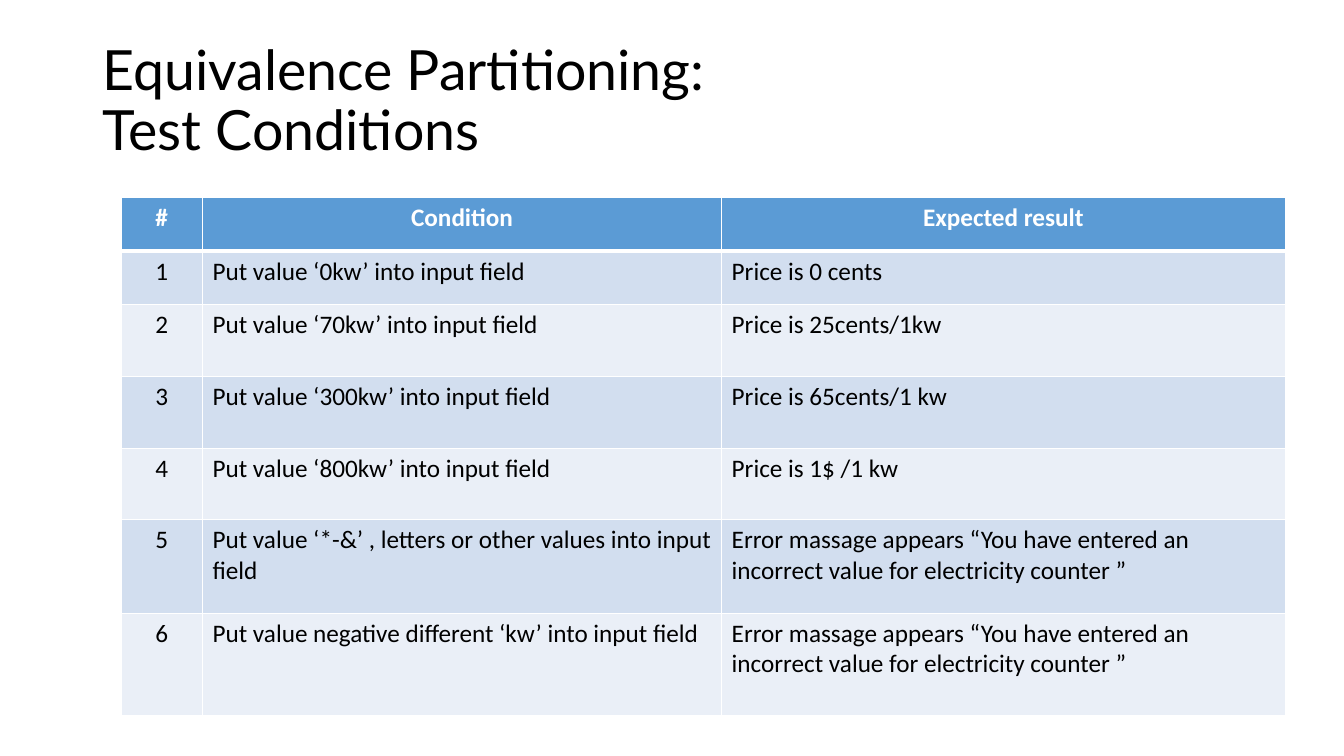
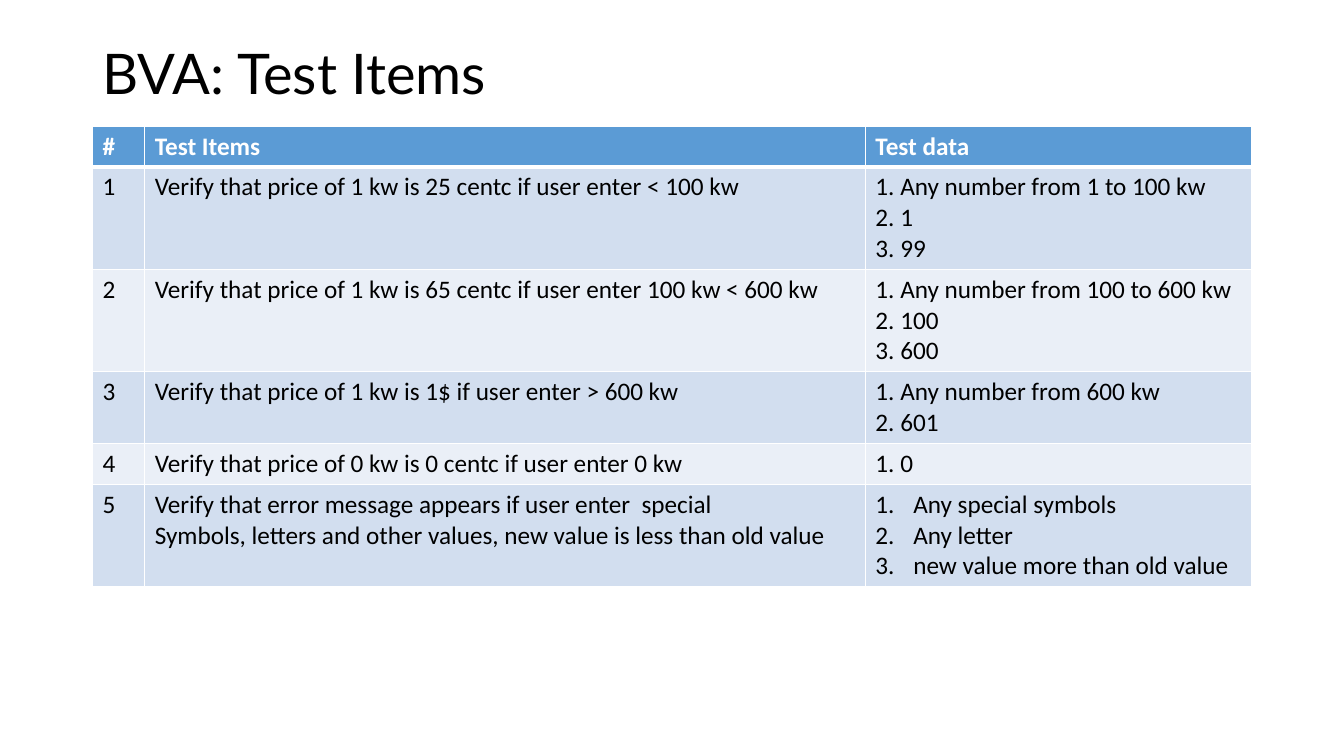
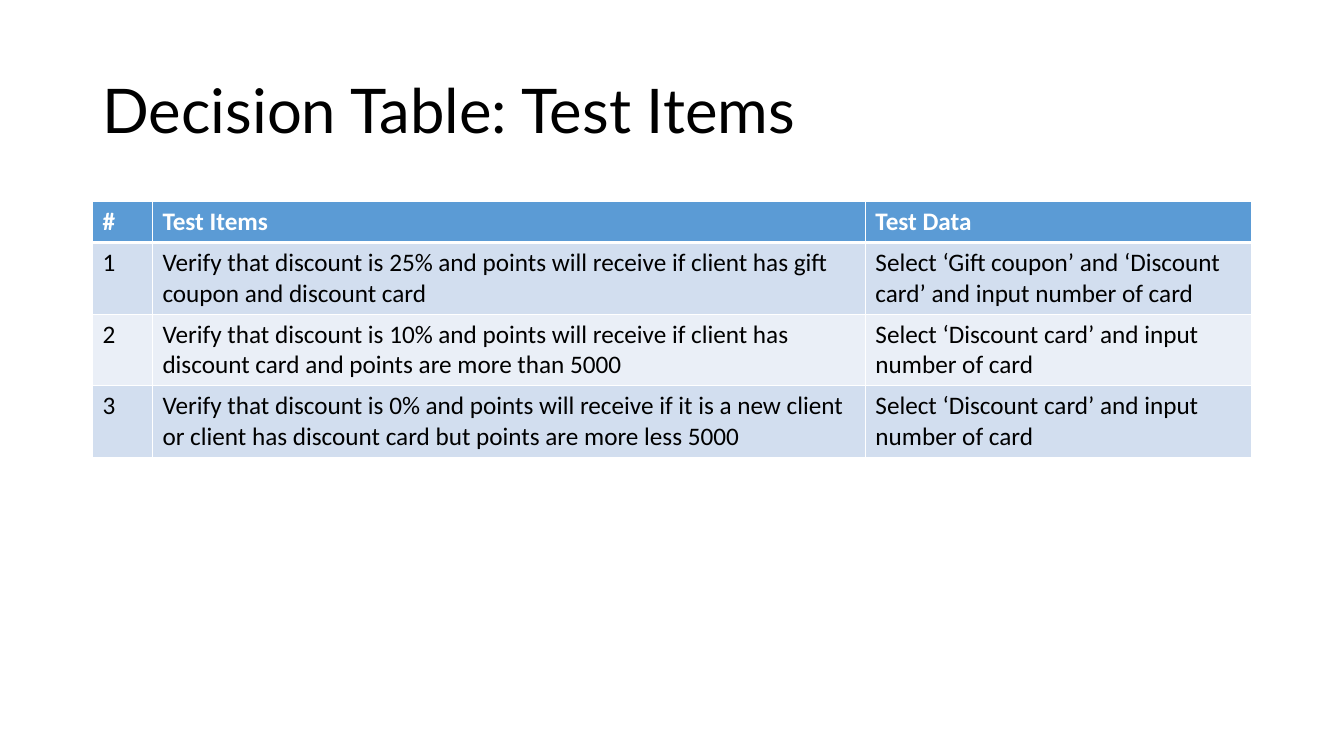
from copy import deepcopy
from dataclasses import dataclass

from lxml.etree import SubElement
from pptx import Presentation
from pptx.dml.color import RGBColor
from pptx.enum.text import MSO_ANCHOR, MSO_AUTO_SIZE, PP_ALIGN
from pptx.oxml.ns import qn
from pptx.util import Pt

COLOURS = {
    "text": "000000",
    "header_text": "FFFFFF",
    "header": "5B9BD5",
    "band_odd": "D2DEEF",
    "band_even": "EAEFF7",
    "border": "FFFFFF",
}
TITLE_FONT, TABLE_FONT = "Lato", "Calibri"
TABLE_SIZE = 18
LIST_INDENT = 27
TITLE_LEFT, TITLE_TOP = 66, 28.8
TITLE_ONLY = 5


@dataclass
class Numbered:
    """Cell text whose lines form a numbered list."""
    text: str


@dataclass
class Title:
    text: str
    size: float
    width: float
    height: float


@dataclass
class Grid:
    left: float
    top: float
    widths: list[float]
    heights: list[float]
    rows: list[tuple]
    centred_header: bool = False


def row_height(lines: int) -> float:
    return 7.2 + 22 * lines


# Text
def write(frame, text: str, *, font: str, size: float, colour: str,
          bold: bool = False, align=PP_ALIGN.LEFT, spacing: float = 1,
          numbered: bool = False) -> None:
    for index, line in enumerate(text.split("\n")):
        para = frame.add_paragraph() if index else frame.paragraphs[0]
        para.text = line
        para.alignment = align
        para.line_spacing = spacing
        for span in para.runs:
            span.font.name = font
            span.font.size = Pt(size)
            span.font.bold = bold
            span.font.color.rgb = RGBColor.from_string(COLOURS[colour])
        # Line breaks take the format of the text around them
        for line_break in para._p.findall(qn("a:br")):
            line_break.append(deepcopy(para.runs[0]._r.rPr))
        if numbered:
            props = para._p.get_or_add_pPr()
            props.set("marL", str(Pt(LIST_INDENT)))
            props.set("indent", str(-Pt(LIST_INDENT)))
            SubElement(props, qn("a:buAutoNum"), type="arabicPeriod")


def add_title(page, title: Title) -> None:
    box = page.shapes.title
    box.left, box.top = Pt(TITLE_LEFT), Pt(TITLE_TOP)
    box.width, box.height = Pt(title.width), Pt(title.height)
    frame = box.text_frame
    frame.word_wrap = True
    frame.auto_size = MSO_AUTO_SIZE.NONE
    frame.vertical_anchor = MSO_ANCHOR.MIDDLE
    write(frame, title.text, font=TITLE_FONT, size=title.size, colour="text",
          spacing=0.9)


# Tables
def set_borders(cell, *, top: float, bottom: float) -> None:
    props = cell._tc.get_or_add_tcPr()
    for side, width in (("L", 1), ("R", 1), ("T", top), ("B", bottom)):
        line = SubElement(props, qn(f"a:ln{side}"), w=str(Pt(width)))
        fill = SubElement(line, qn("a:solidFill"))
        SubElement(fill, qn("a:srgbClr"), val=COLOURS["border"])


def add_grid(page, grid: Grid) -> None:
    table = page.shapes.add_table(
        len(grid.rows), len(grid.widths), Pt(grid.left), Pt(grid.top),
        Pt(sum(grid.widths)), Pt(sum(grid.heights))).table
    for column, width in zip(table.columns, grid.widths):
        column.width = Pt(width)
    for row, height in zip(table.rows, grid.heights):
        row.height = Pt(height)

    for row_index, values in enumerate(grid.rows):
        header = row_index == 0
        band = "header" if header else "band_odd" if row_index % 2 else "band_even"
        for column_index, value in enumerate(values):
            cell = table.cell(row_index, column_index)
            set_borders(cell, top=3 if row_index == 1 else 1,
                        bottom=3 if header else 1)
            cell.fill.solid()
            cell.fill.fore_color.rgb = RGBColor.from_string(COLOURS[band])
            numbered = isinstance(value, Numbered)
            centred = grid.centred_header and (header or column_index == 0)
            write(cell.text_frame, value.text if numbered else value,
                  font=TABLE_FONT, size=TABLE_SIZE, bold=header,
                  colour="header_text" if header else "text",
                  align=PP_ALIGN.CENTER if centred else PP_ALIGN.LEFT,
                  numbered=numbered)


# Content
ERROR = ("Error massage appears “You have entered an incorrect value "
         "for electricity counter ”")
CARD = "Select ‘Discount card’ and input number of card"

PAGES = [
    (Title("Equivalence Partitioning: \vTest Conditions", 39.6, 503.3, 88.6),
     Grid(86.4, 141.1, [58.3, 370.8, 402.5],
          [38.3, 38.3, *[row_height(2)] * 3, 66.7, row_height(3)],
          [("#", "Condition", "Expected result"),
           ("1", "Put value ‘0kw’ into input field", "Price is 0 cents"),
           ("2", "Put value ‘70kw’ into input field", "Price is 25cents/1kw"),
           ("3", "Put value ‘300kw’ into input field", "Price is 65cents/1 kw"),
           ("4", "Put value ‘800kw’ into input field", "Price is 1$ /1 kw"),
           ("5", "Put value ‘*-&’ , letters or other values into input field",
            ERROR),
           ("6", "Put value negative different ‘kw’ into input field", ERROR)],
          centred_header=True)),
    (Title("BVA: Test Items", 40, 316.8, 51.1),
     Grid(66.2, 90, [37.2, 514.8, 276],
          [row_height(lines) for lines in (1, 3, 3, 2, 1, 3)],
          [("#", "Test Items", "Test data"),
           ("1", "Verify that price of 1 kw is 25 centc if user enter < 100 kw",
            "1. Any number from 1 to 100 kw\n2. 1\n3. 99"),
           ("2", "Verify that price of 1 kw is 65 centc if user enter "
                 "100 kw < 600 kw",
            "1. Any number from 100 to 600 kw\n2. 100\n3. 600"),
           ("3", "Verify that price of 1 kw is 1$ if user enter > 600 kw",
            "1. Any number from 600 kw\n2. 601"),
           ("4", "Verify that price of 0 kw is 0 centc if user enter 0 kw",
            "1. 0"),
           ("5", "Verify that error message appears if user enter  special\n"
                 "Symbols, letters and other values, new value is less than "
                 "old value",
            Numbered("Any special symbols\nAny letter\n"
                     "new value more than old value"))])),
    (Title("Decision Table: Test Items", 44, 828, 104.4),
     Grid(66.2, 144, [42.7, 509.3, 276],
          [row_height(lines) for lines in (1, 2, 2, 2)],
          [("#", "Test Items", "Test Data"),
           ("1", "Verify that discount is 25% and points will receive if client "
                 "has gift coupon and discount card",
            "Select ‘Gift coupon’ and ‘Discount card’ and input number of card"),
           ("2", "Verify that discount is 10% and points will receive if client "
                 "has discount card and points are more than 5000", CARD),
           ("3", "Verify that discount is 0% and points will receive if it is a "
                 "new client or client has discount card but points are more "
                 "less 5000", CARD)])),
]


def main() -> None:
    deck = Presentation()
    deck.slide_width, deck.slide_height = Pt(960), Pt(540)
    for title, grid in PAGES:
        page = deck.slides.add_slide(deck.slide_layouts[TITLE_ONLY])
        add_title(page, title)
        add_grid(page, grid)
    deck.save("out.pptx")


if __name__ == "__main__":
    main()
